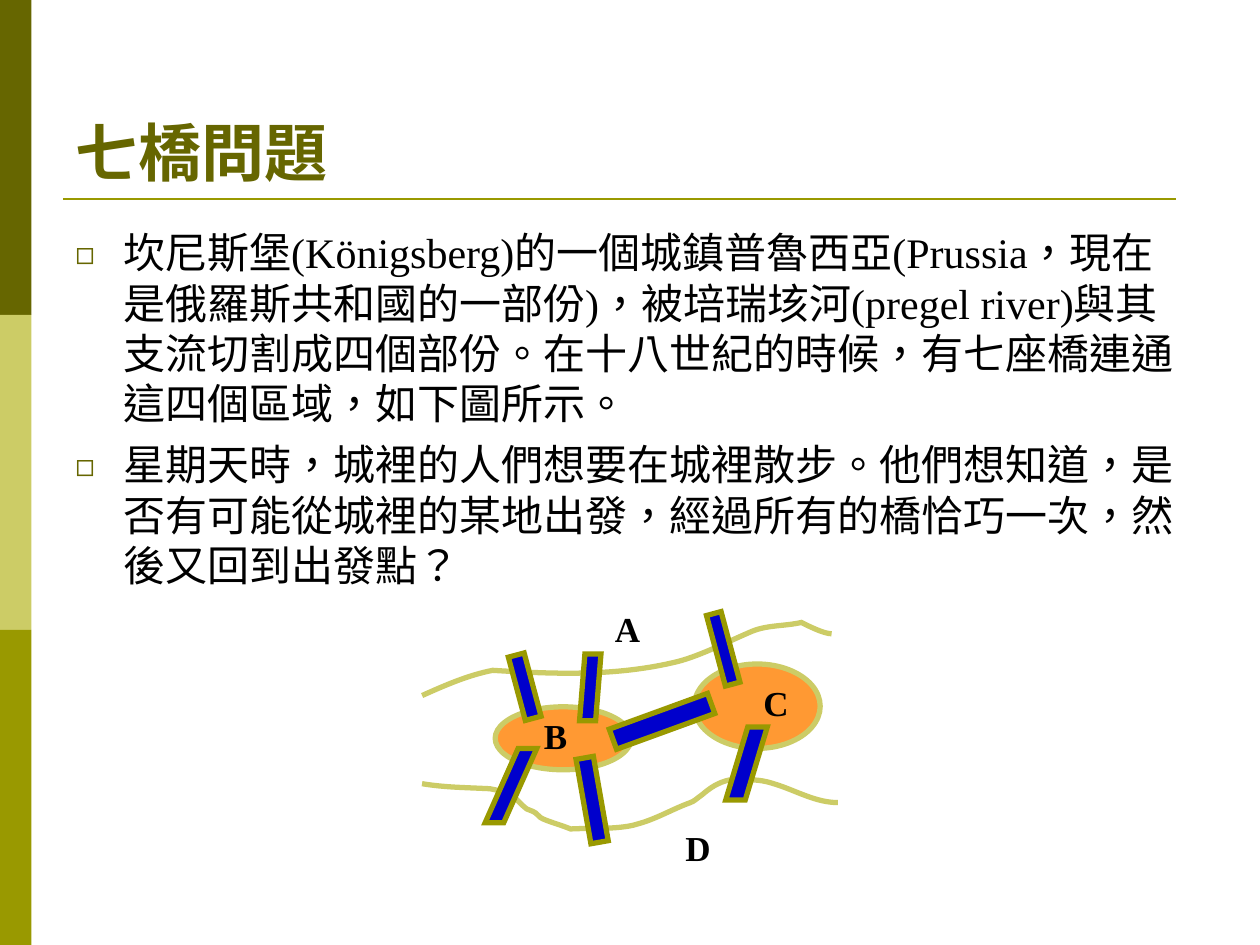
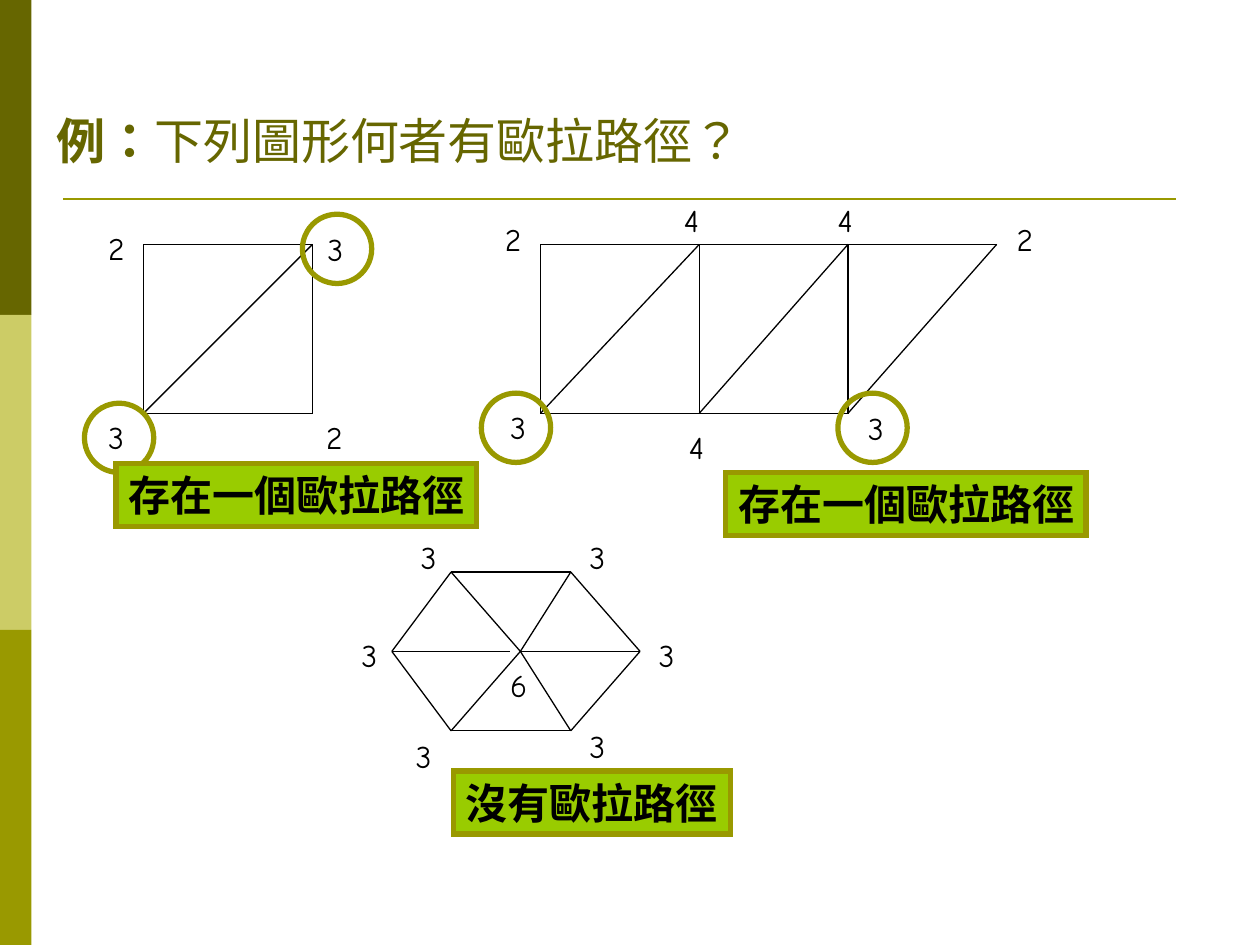
"""Build two slides about the seven bridges problem and Euler paths."""
from typing import NamedTuple

from lxml import etree
from pptx import Presentation
from pptx.dml.color import RGBColor
from pptx.enum.lang import MSO_LANGUAGE_ID
from pptx.enum.shapes import MSO_CONNECTOR, MSO_SHAPE
from pptx.enum.text import MSO_ANCHOR, PP_ALIGN
from pptx.oxml.ns import qn
from pptx.util import Emu, Pt

PX = 9144
RECT = MSO_SHAPE.RECTANGLE
OVAL = MSO_SHAPE.OVAL
SLANT = MSO_SHAPE.PARALLELOGRAM
STRAIGHT = MSO_CONNECTOR.STRAIGHT
BOTTOM, TOP = MSO_ANCHOR.BOTTOM, MSO_ANCHOR.TOP
LEFT, CENTER = PP_ALIGN.LEFT, PP_ALIGN.CENTER
CHINESE = MSO_LANGUAGE_ID.TRADITIONAL_CHINESE

SERIF, COMIC, HAN = "Times New Roman", "Comic Neue", "Noto Sans CJK SC"
DARK, OLIVE, PALE = "666600", "999900", "CCCC66"
BLACK, ORANGE, BLUE, GREEN = "000000", "FF9933", "0000CC", "99CC00"


class Frame(NamedTuple):
    """A place on the slide in px."""
    left: int
    top: int
    width: int
    height: int


class Style(NamedTuple):
    """The look of a line of text."""
    size: int
    font: str = SERIF
    color: str = BLACK
    bold: bool = False
    align: int = LEFT


class Bridge(NamedTuple):
    """A bridge: a turned rectangle or a slanted parallelogram."""
    frame: Frame
    turn: int = 0
    slant: float = 0


class Label(NamedTuple):
    """A short text and the corner of its box."""
    text: str
    left: int
    top: int


class Banner(NamedTuple):
    """A verdict and its place."""
    text: str
    frame: Frame


BODY_STYLE = Style(24)
LAND_STYLE = Style(20, bold=True, align=CENTER)
DEGREE_STYLE = Style(18, COMIC)
BANNER_STYLE = Style(24, bold=True)

BODY = (
    "坎尼斯堡(Königsberg)的一個城鎮普魯西亞(Prussia，現在是俄羅斯共和國的一部份)，"
    "被培瑞垓河(pregel river)與其支流切割成四個部份。在十八世紀的時候，"
    "有七座橋連通這四個區域，如下圖所示。",
    "星期天時，城裡的人們想要在城裡散步。他們想知道，是否有可能從城裡的某地出發，"
    "經過所有的橋恰巧一次，然後又回到出發點？",
)
NORTH_BANK = (
    (335, 552), (353, 544), (371, 536), (391, 532), (440, 535), (489, 537), (538, 525),
    (557, 520), (578, 509), (597, 501), (609, 496), (623, 497), (636, 494),
    (642, 497), (654, 503), (660, 503),
)
SOUTH_BANK = (
    (335, 622), (353, 625), (369, 625), (389, 626), (393, 627), (402, 628), (406, 631),
    (410, 634), (414, 639), (418, 642), (420, 643), (421, 643), (423, 644),
    (426, 645), (428, 649), (431, 650), (438, 653), (446, 655), (453, 658),
    (459, 657), (491, 659), (506, 654), (521, 650), (534, 642), (548, 637),
    (551, 636), (554, 633), (557, 631), (564, 625), (570, 621), (579, 619),
    (595, 619), (602, 618), (614, 622), (631, 627), (647, 637), (665, 637),
)
ISLANDS = (Frame(393, 561, 108, 50), Frame(551, 527, 100, 67))
BRIDGES = (
    Bridge(Frame(385, 594, 41, 59), slant=0.64),
    Bridge(Frame(576, 577, 33, 58), slant=0.53),
    Bridge(Frame(460, 519, 17, 53), slant=0.25),
    Bridge(Frame(463, 601, 14, 68), 350),
    Bridge(Frame(410, 519, 13, 52), 345),
    Bridge(Frame(568, 486, 12, 58), 345),
    Bridge(Frame(484, 564, 83, 17), 340),
)
LANDS = (Label("A", 478, 477), Label("B", 421, 562), Label("C", 596, 536), Label("D", 534, 651))

BOXES = (Frame(114, 194, 134, 134), Frame(429, 194, 244, 134))
GRAPH_EDGES = (
    ((114, 328), (248, 194)), ((555, 328), (555, 194)), ((673, 194), (791, 194)),
    ((429, 328), (555, 194)), ((555, 328), (673, 194)), ((673, 328), (791, 194)),
)
HEXAGON = ((358, 454), (453, 454), (508, 517), (453, 580), (358, 580), (311, 517))
HUB, HUB_GAP = (413, 517), (405, 517)
DEGREES = (
    Label("2", 76, 177), Label("3", 250, 178), Label("2", 249, 327), Label("3", 76, 327),
    Label("2", 391, 170), Label("4", 533, 155), Label("4", 655, 155), Label("2", 797, 170),
    Label("3", 395, 319), Label("4", 537, 335), Label("3", 679, 320),
    Label("3", 324, 422), Label("3", 458, 422), Label("3", 513, 500), Label("3", 458, 572),
    Label("3", 320, 580), Label("3", 277, 500), Label("6", 395, 524),
)
RING_SIZE = 55
RINGS = ((240, 170), (67, 320), (382, 312), (665, 312))
BANNERS = (
    Banner("存在一個歐拉路徑", Frame(92, 368, 286, 50)),
    Banner("存在一個歐拉路徑", Frame(576, 375, 286, 50)),
    Banner("沒有歐拉路徑", Frame(360, 612, 220, 50)),
)


def px(length: int) -> Emu:
    """Turn px into EMU."""
    return Emu(length * PX)


def rgb(color: str) -> RGBColor:
    """Turn a hex string into a colour."""
    return RGBColor.from_string(color)


def style_paragraph(para, style: Style) -> None:
    """Give a paragraph its font, colour and alignment."""
    para.alignment = style.align
    font = para.font
    font.name, font.size, font.bold = style.font, Pt(style.size), style.bold
    font.color.rgb = rgb(style.color)
    etree.SubElement(font._element, qn("a:ea"), typeface=HAN)
    for span in para.runs:
        span.font.language_id = CHINESE


def add_bullet(para) -> None:
    """Give a paragraph a hollow square bullet with a hanging indent."""
    props = para._p.get_or_add_pPr()
    props.set("marL", str(px(38)))
    props.set("indent", str(-px(38)))
    color = etree.SubElement(props, qn("a:buClr"))
    etree.SubElement(color, qn("a:srgbClr"), val=DARK)
    etree.SubElement(props, qn("a:buSzPct"), val="75000")
    etree.SubElement(props, qn("a:buFont"), typeface=HAN)
    etree.SubElement(props, qn("a:buChar"), char="◻")
    para.space_before = Pt(6)


def add_box(page, frame: Frame, wrap: bool = True, anchor: int = TOP):
    """Add a text box and return its text frame."""
    text_frame = page.shapes.add_textbox(*map(px, frame)).text_frame
    text_frame.word_wrap = wrap
    text_frame.vertical_anchor = anchor
    return text_frame


def paint(shape, fill: str = "", line: str = "", width: float = 3) -> None:
    """Set the fill and sharp-cornered outline of a shape, without shadow."""
    shape.shadow.inherit = False
    if fill:
        shape.fill.solid()
        shape.fill.fore_color.rgb = rgb(fill)
    else:
        shape.fill.background()
    if line:
        shape.line.color.rgb = rgb(line)
        shape.line.width = Pt(width)
        etree.SubElement(shape.line._get_or_add_ln(), qn("a:miter"), lim="800000")
    else:
        shape.line.fill.background()


def add_shape(page, kind: int, frame: Frame, fill: str = "", line: str = "", width: float = 3):
    """Add a painted preset shape."""
    shape = page.shapes.add_shape(kind, *map(px, frame))
    paint(shape, fill, line, width)
    return shape


def add_line(page, start: tuple, end: tuple, color: str = BLACK, width: float = 0.75) -> None:
    """Add a straight line between two points."""
    line = page.shapes.add_connector(STRAIGHT, *map(px, start + end))
    line.line.color.rgb = rgb(color)
    line.line.width = Pt(width)
    etree.SubElement(line._element.spPr, qn("a:effectLst"))


def add_label(page, label: Label, style: Style) -> None:
    """Add a short unwrapped text."""
    para = add_box(page, Frame(label.left, label.top, 40, 40), wrap=False).paragraphs[0]
    para.text = label.text
    style_paragraph(para, style)


def add_bank(page, knots: tuple) -> None:
    """Draw one river bank as an open chain of cubic curves."""
    builder = page.shapes.build_freeform(*knots[0], scale=PX)
    builder.add_line_segments(knots[1:], close=False)
    bank = builder.convert_to_shape()
    segments = list(bank._element.iter(qn("a:lnTo")))
    outline = segments[0].getparent()
    for first in range(0, len(segments), 3):
        curve = etree.SubElement(outline, qn("a:cubicBezTo"))
        for segment in segments[first:first + 3]:
            curve.append(segment[0])
            outline.remove(segment)
    paint(bank, line=PALE)


def add_page(deck, title: Frame, size: int, strong: str, plain: str = "") -> object:
    """Add a page with side bands, a rule and a title."""
    page = deck.slides.add_slide(deck.slide_layouts[6])
    for index, color in enumerate((DARK, PALE, OLIVE)):
        add_shape(page, RECT, Frame(0, 250 * index, 25, 250), color)
    add_line(page, (50, 158), (933, 158), OLIVE, 1.5)
    para = add_box(page, title, anchor=BOTTOM).paragraphs[0]
    para.add_run().text = strong
    if plain:
        span = para.add_run()
        span.text = plain
        span.font.bold = False
    style_paragraph(para, Style(size, color=DARK, bold=True))
    return page


def build_bridges(deck) -> None:
    """Build the page on the seven bridges."""
    page = add_page(deck, Frame(50, 30, 900, 125), 36, "七橋問題")
    body = add_box(page, Frame(50, 175, 900, 495))
    for index, text in enumerate(BODY):
        para = body.add_paragraph() if index else body.paragraphs[0]
        para.text = text
        add_bullet(para)
        style_paragraph(para, BODY_STYLE)
    for bank in (NORTH_BANK, SOUTH_BANK):
        add_bank(page, bank)
    for island in ISLANDS:
        add_shape(page, OVAL, island, ORANGE, PALE)
    for bridge in BRIDGES:
        shape = add_shape(page, SLANT if bridge.slant else RECT, bridge.frame, BLUE, OLIVE)
        shape.rotation = bridge.turn
        if bridge.slant:
            shape.adjustments[0] = bridge.slant
    for land in LANDS:
        add_label(page, land, LAND_STYLE)


def build_examples(deck) -> None:
    """Build the page that asks which graphs have an Euler path."""
    page = add_page(deck, Frame(35, 9, 835, 130), 28, "例：", "下列圖形何者有歐拉路徑？")
    for frame in BOXES:
        add_shape(page, RECT, frame, line=BLACK, width=0.75)
    for start, end in GRAPH_EDGES:
        add_line(page, start, end)
    for corner, following in zip(HEXAGON, HEXAGON[1:] + HEXAGON[:1]):
        add_line(page, corner, following)
        add_line(page, corner, HUB_GAP if corner == HEXAGON[-1] else HUB)
    for degree in DEGREES:
        add_label(page, degree, DEGREE_STYLE)
    for corner in RINGS:
        add_shape(page, OVAL, Frame(*corner, RING_SIZE, RING_SIZE), line=OLIVE)
    for banner in BANNERS:
        shape = add_shape(page, RECT, banner.frame, GREEN, OLIVE)
        shape.text_frame.word_wrap = False
        para = shape.text_frame.paragraphs[0]
        para.text = banner.text
        style_paragraph(para, BANNER_STYLE)


def main() -> None:
    """Build and save the deck."""
    deck = Presentation()
    deck.slide_width, deck.slide_height = px(1000), px(750)
    build_bridges(deck)
    build_examples(deck)
    deck.save("out.pptx")


if __name__ == "__main__":
    main()
